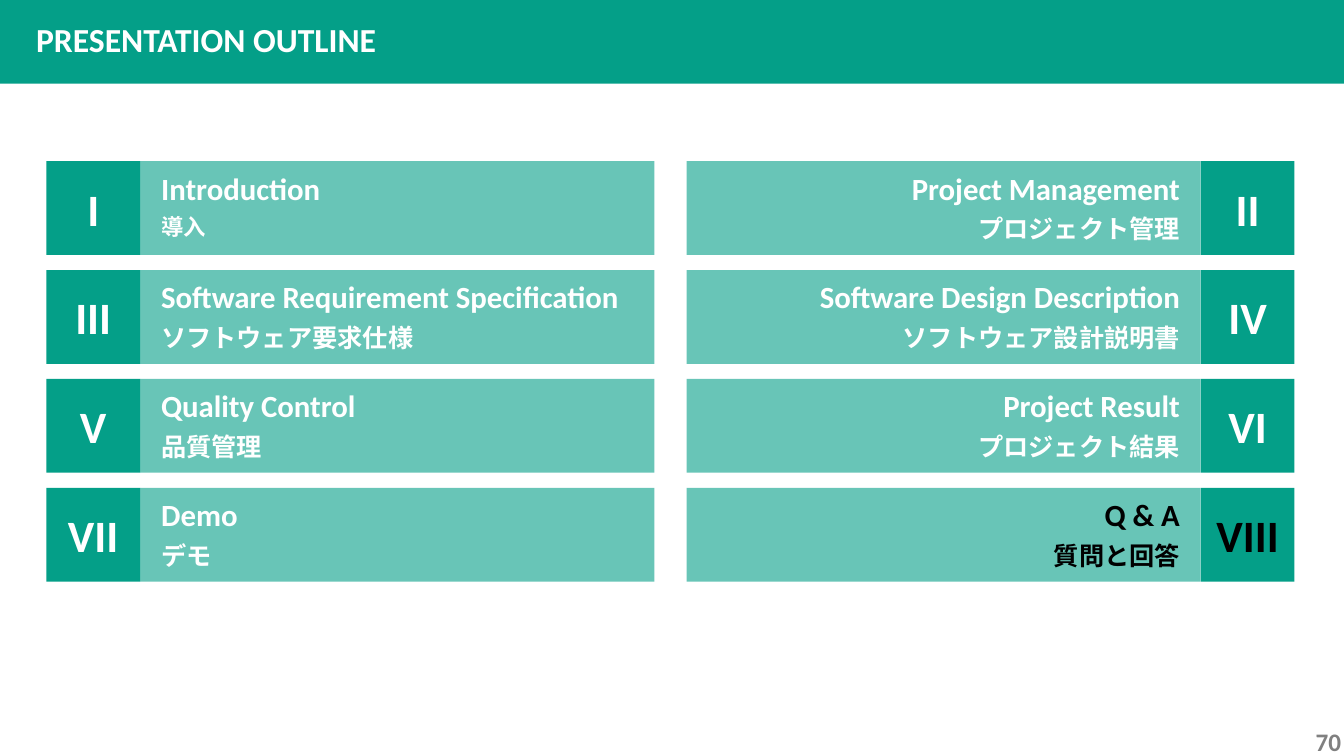
from pptx import Presentation
from pptx.dml.color import RGBColor
from pptx.enum.shapes import MSO_SHAPE
from pptx.enum.text import MSO_ANCHOR, PP_ALIGN
from pptx.oxml.ns import qn
from pptx.util import Inches, Pt
from lxml.etree import SubElement

TEAL = RGBColor(0x04, 0x9F, 0x88)
WHITE = RGBColor(0xFF, 0xFF, 0xFF)
BLACK = RGBColor(0x00, 0x00, 0x00)
GRAY = RGBColor(0x80, 0x80, 0x80)

LATIN_FONT = "Calibri"
JAPANESE_FONT = "Times New Roman"

PAGE_WIDTH, PAGE_HEIGHT = 13.33, 7.5
HEADER_HEIGHT = 0.83
TILE = 0.93
BAR_WIDTH = 5.1
LEFT_EDGE, RIGHT_EDGE = 0.46, 12.84
FIRST_ROW, ROW_PITCH = 1.6, 1.08
LABEL_GAP = 0.11

# numeral, title, translation, translation size, text colour
SECTIONS = [
    ("I", "Introduction", "導入", 16, WHITE),
    ("II", "Project Management", "プロジェクト管理", 18, WHITE),
    ("III", "Software Requirement Specification", "ソフトウェア要求仕様", 18, WHITE),
    ("IV", "Software Design Description", "ソフトウェア設計説明書", 18, WHITE),
    ("V", "Quality Control", "品質管理", 18, WHITE),
    ("VI", "Project Result", "プロジェクト結果", 18, WHITE),
    ("VII", "Demo", "デモ", 18, WHITE),
    ("VIII", "Q & A", "質問と回答", 18, BLACK),
]


def write(frame, text, size, color, font=LATIN_FONT, align=PP_ALIGN.LEFT):
    """Put one bold run into the frame's first paragraph."""
    para = frame.paragraphs[0]
    para.alignment = align
    span = para.add_run()
    span.text = text
    span.font.name = font
    span.font.size = Pt(size)
    span.font.bold = True
    span.font.color.rgb = color


def add_block(page, left, top, width, height, opacity=100):
    block = page.shapes.add_shape(
        MSO_SHAPE.RECTANGLE, Inches(left), Inches(top), Inches(width), Inches(height))
    block.shadow.inherit = False
    block.line.fill.background()
    block.fill.solid()
    block.fill.fore_color.rgb = TEAL
    if opacity < 100:
        color = block.fill._xPr.find(qn("a:solidFill"))[0]
        SubElement(color, qn("a:alpha")).set("val", str(opacity * 1000))
    return block


def add_label(page, left, top, width, height, *text, **style):
    box = page.shapes.add_textbox(Inches(left), Inches(top), Inches(width), Inches(height))
    box.text_frame.word_wrap = True
    write(box.text_frame, *text, **style)


def add_section(page, index, numeral, title, translation, translation_size, color):
    """Draw a numbered tile with its bar; odd columns are mirrored."""
    row, column = divmod(index, 2)
    top = FIRST_ROW + row * ROW_PITCH
    if column == 0:
        tile_left, bar_left = LEFT_EDGE, LEFT_EDGE + TILE
        label_left, align = bar_left + LABEL_GAP, PP_ALIGN.LEFT
    else:
        tile_left = RIGHT_EDGE - TILE
        bar_left = label_left = tile_left - BAR_WIDTH
        align = PP_ALIGN.RIGHT

    tile = add_block(page, tile_left, top, TILE, TILE)
    frame = tile.text_frame
    frame.margin_left = frame.margin_right = 0
    frame.vertical_anchor = MSO_ANCHOR.MIDDLE
    frame.word_wrap = False
    write(frame, numeral, 32, color, align=PP_ALIGN.CENTER)

    add_block(page, bar_left, top, BAR_WIDTH, TILE, opacity=60)
    label_width = BAR_WIDTH - LABEL_GAP
    add_label(page, label_left, top + 0.03, label_width, 0.47,
              title, 22, color, align=align)
    add_label(page, label_left, top + 0.47, label_width, 0.4,
              translation, translation_size, color, font=JAPANESE_FONT, align=align)


def main():
    deck = Presentation()
    deck.slide_width, deck.slide_height = Inches(PAGE_WIDTH), Inches(PAGE_HEIGHT)
    page = deck.slides.add_slide(deck.slide_layouts[6])

    add_block(page, 0, 0, PAGE_WIDTH, HEADER_HEIGHT)
    add_label(page, 0.26, 0.14, PAGE_WIDTH / 2, 0.5, "PRESENTATION OUTLINE", 24, WHITE)
    for index, section in enumerate(SECTIONS):
        add_section(page, index, *section)
    add_label(page, 12.95, 7.16, 0.46, 0.4, "70", 18, GRAY)

    deck.save("out.pptx")


if __name__ == "__main__":
    main()
